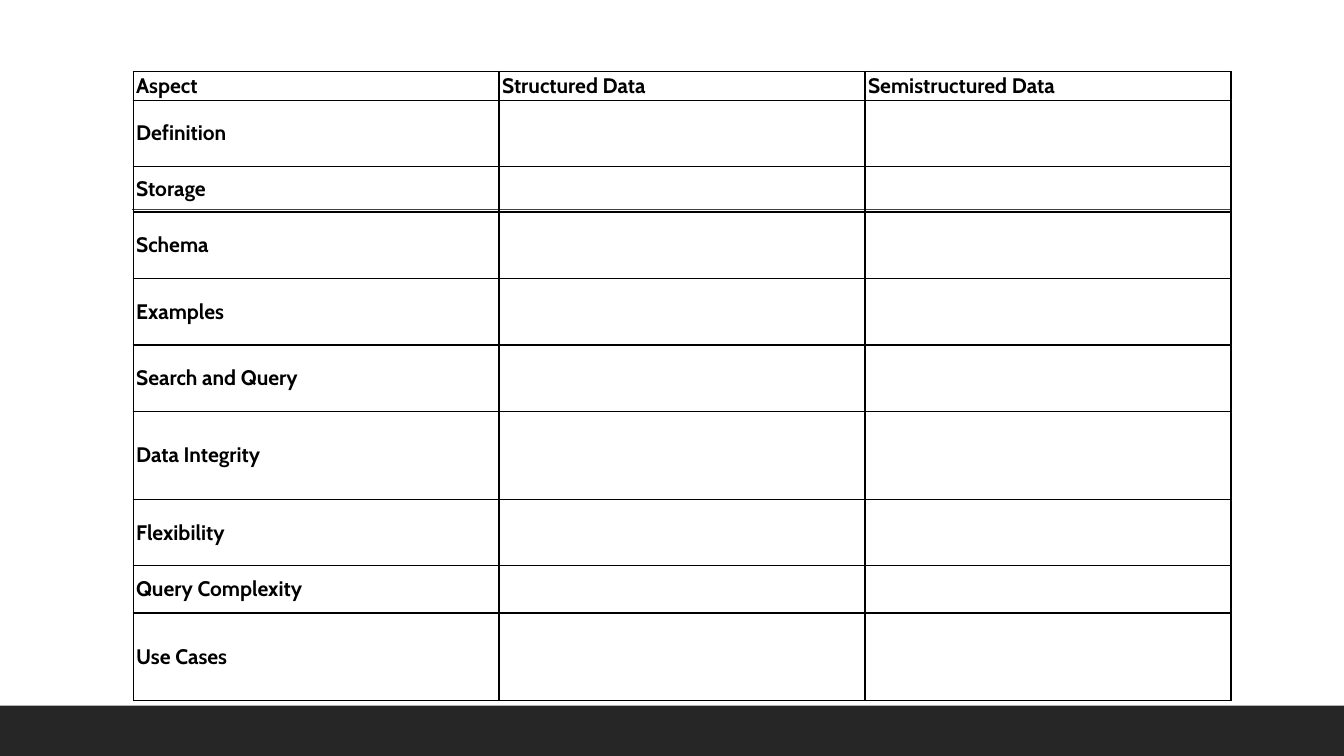
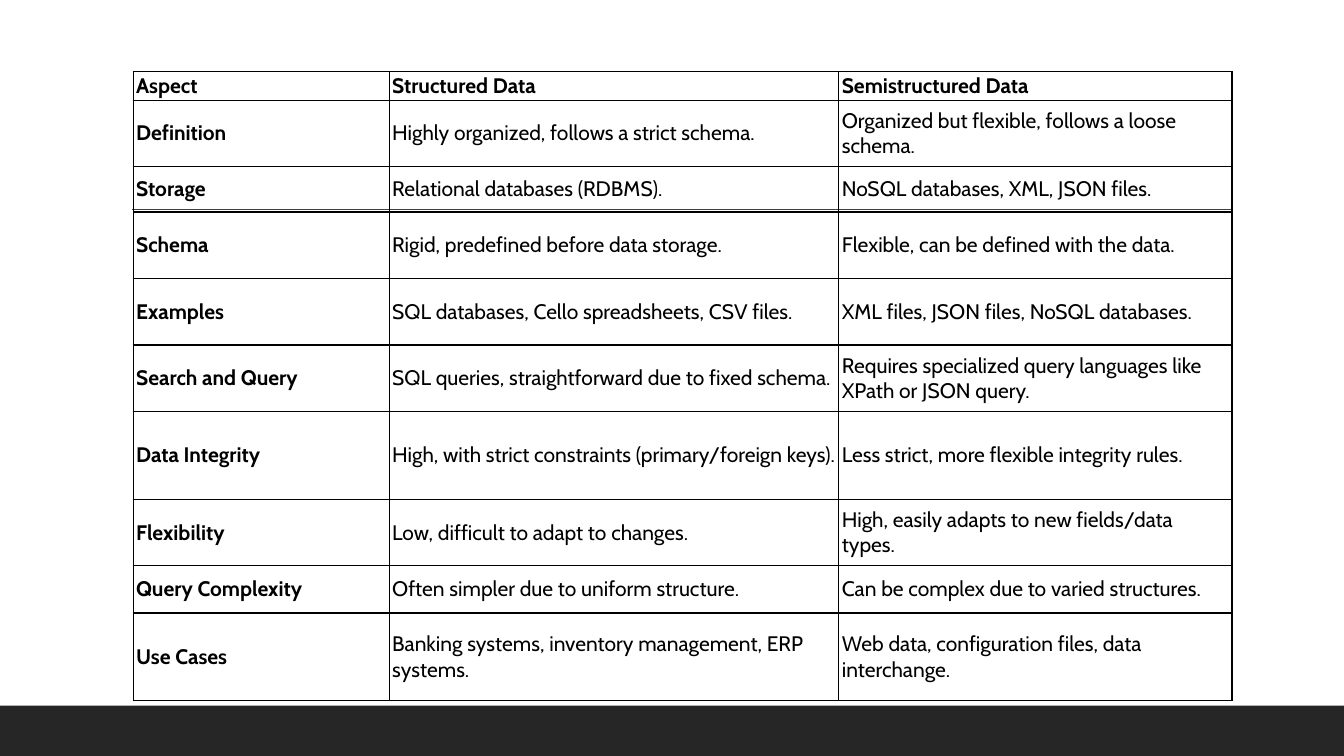
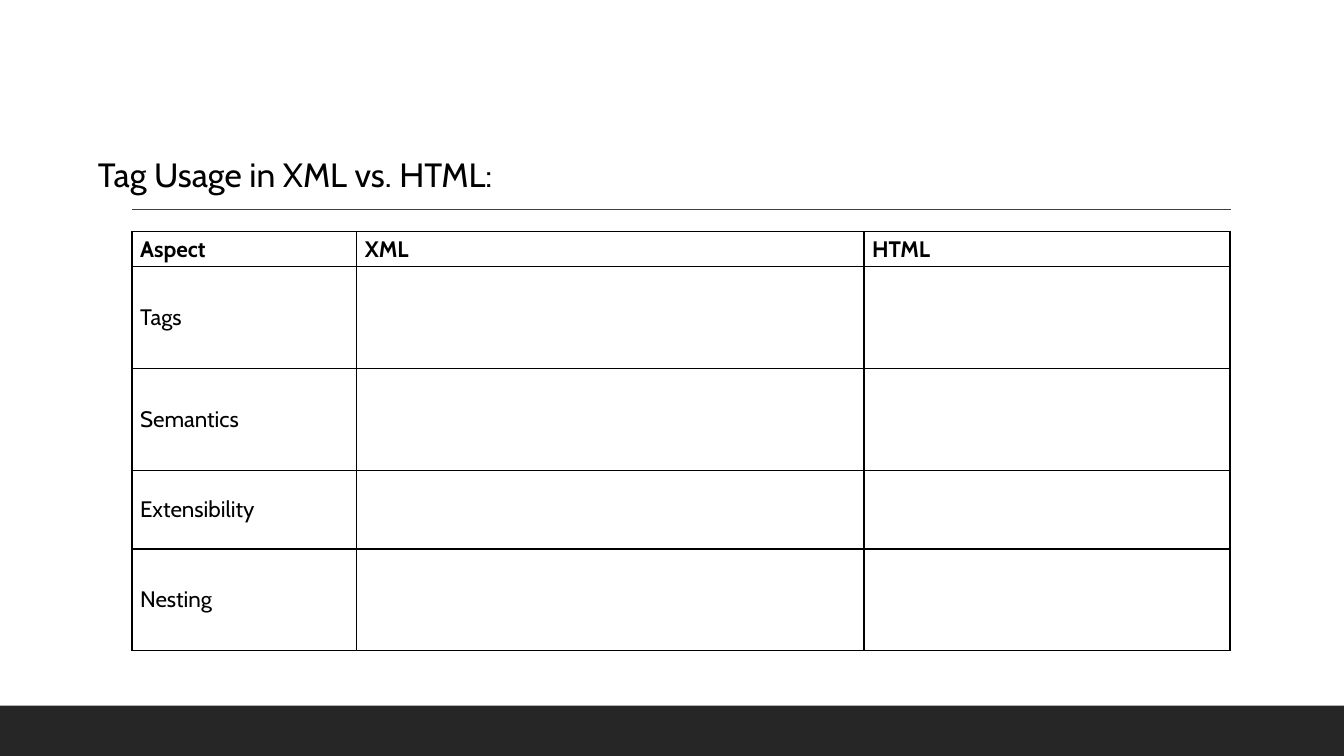
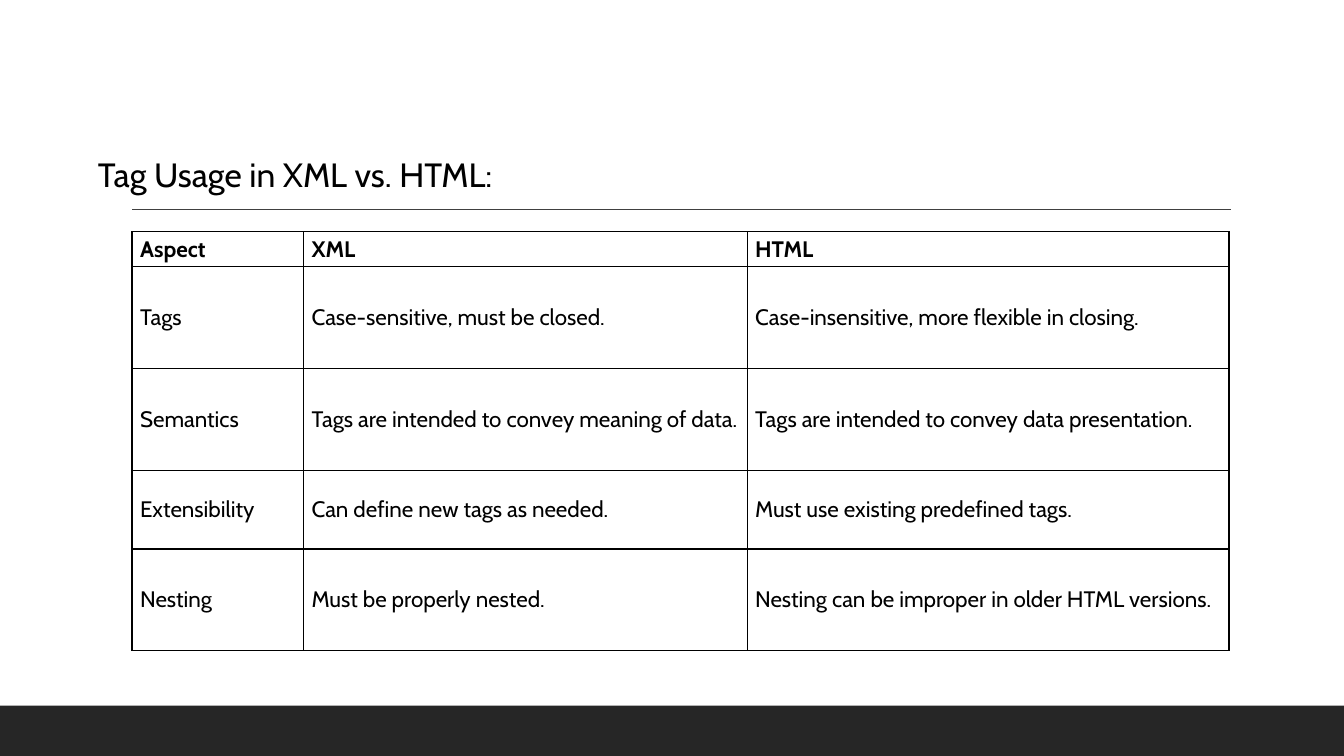
from dataclasses import dataclass

from pptx import Presentation
from pptx.dml.color import RGBColor as Color
from pptx.enum.shapes import MSO_CONNECTOR as Connector, MSO_SHAPE as Preset
from pptx.enum.text import MSO_ANCHOR as Anchor, MSO_AUTO_SIZE as AutoSize, PP_ALIGN as Align
from pptx.oxml import parse_xml
from pptx.oxml.ns import nsdecls, qn
from pptx.util import Inches, Pt


@dataclass(frozen=True)
class Theme:
    font: str = "Cabin"
    text: str = "000000"
    band: str = "262626"
    rule: str = "404040"
    line_width: int = Pt(1)
    title_size: int = Pt(24)


theme = Theme()


def set_font(paragraph, size, bold=False):
    font = paragraph.font
    font.name, font.size, font.bold = theme.font, size, bold
    font.color.rgb = Color.from_string(theme.text)


def add_grid(slide, content, layout, column_widths, filled):
    """Add a bordered table; unless filled, only headings and row labels have text."""
    frame = slide.shapes.add_table(
        len(content), len(column_widths), Inches(layout["left"]), Inches(layout["top"]),
        Inches(sum(column_widths)), Inches(sum(layout["row_heights"])))
    table = frame.table
    table.first_row = table.horz_banding = False
    for column, width in zip(table.columns, column_widths):
        column.width = Inches(width)
    for row, height in zip(table.rows, layout["row_heights"]):
        row.height = Inches(height)

    for row_index, texts in enumerate(content):
        for column_index, text in enumerate(texts):
            is_header, is_label = row_index == 0, column_index == 0
            cell = table.cell(row_index, column_index)
            cell.fill.background()
            cell.margin_left = cell.margin_right = Inches(layout["side_margin"])
            cell.margin_top = cell.margin_bottom = Inches(layout["side_margin"] / 2)
            cell.vertical_anchor = Anchor.BOTTOM if is_header else Anchor.MIDDLE
            if filled or is_header or is_label:
                cell.text = text
            set_font(cell.text_frame.paragraphs[0], layout["size"],
                     is_header or (is_label and layout["bold_labels"]))

    # Borders come before the fill in the cell properties
    for properties in frame.element.iter(qn("a:tcPr")):
        for index, side in enumerate("LRTB"):
            properties.insert(index, parse_xml(
                f'<a:ln{side} {nsdecls("a")} w="{theme.line_width}"><a:solidFill>'
                f'<a:srgbClr val="{theme.text}"/></a:solidFill></a:ln{side}>'))


# Content
data_comparison = [
    ("Aspect", "Structured Data", "Semistructured Data"),
    ("Definition", "Highly organized, follows a strict schema.",
     "Organized but flexible, follows a loose schema."),
    ("Storage", "Relational databases (RDBMS).", "NoSQL databases, XML, JSON files."),
    ("Schema", "Rigid, predefined before data storage.",
     "Flexible, can be defined with the data."),
    ("Examples", "SQL databases, Cello spreadsheets, CSV files.",
     "XML files, JSON files, NoSQL databases."),
    ("Search and Query", "SQL queries, straightforward due to fixed schema.",
     "Requires specialized query languages like XPath or JSON query."),
    ("Data Integrity", "High, with strict constraints (primary/foreign keys).",
     "Less strict, more flexible integrity rules."),
    ("Flexibility", "Low, difficult to adapt to changes.",
     "High, easily adapts to new fields/data types."),
    ("Query Complexity", "Often simpler due to uniform structure.",
     "Can be complex due to varied structures."),
    ("Use Cases", "Banking systems, inventory management, ERP systems.",
     "Web data, configuration files, data interchange."),
]
tag_comparison = [
    ("Aspect", "XML", "HTML"),
    ("Tags", "Case-sensitive, must be closed.", "Case-insensitive, more flexible in closing."),
    ("Semantics", "Tags are intended to convey meaning of data.",
     "Tags are intended to convey data presentation."),
    ("Extensibility", "Can define new tags as needed.", "Must use existing predefined tags."),
    ("Nesting", "Must be properly nested.", "Nesting can be improper in older HTML versions."),
]
data_layout = dict(
    left=1.32, top=0.71, side_margin=0.03, size=Pt(15), bold_labels=True,
    row_heights=[0.25, 0.66, 0.45, 0.66, 0.66, 0.66, 0.87, 0.66, 0.47, 0.87])
tag_layout = dict(
    left=1.31, top=2.3, side_margin=0.08, size=Pt(16), bold_labels=False,
    row_heights=[0.31, 1.01, 1.01, 0.78, 1.01])
tag_title = "Tag Usage in XML vs. HTML:"

# Title, content, table layout, column widths, whether the answers show
pages = [
    (None, data_comparison, data_layout, [3.63, 3.63, 3.63], False),
    (None, data_comparison, data_layout, [2.54, 4.46, 3.9], True),
    (tag_title, tag_comparison, tag_layout, [2.23, 5.03, 3.63], False),
    (tag_title, tag_comparison, tag_layout, [1.7, 4.4, 4.78], True),
]

presentation = Presentation()
presentation.slide_width, presentation.slide_height = Inches(13.33), Inches(7.5)
title_layout = presentation.slide_layouts.get_by_name("Title Only")
blank_layout = presentation.slide_layouts.get_by_name("Blank")

# Title position, shared through the layout
layout_title = title_layout.placeholders[0]
layout_title.left, layout_title.top = Inches(0.87), Inches(1.48)
layout_title.width, layout_title.height = Inches(6.67), Inches(0.5)

# Slides
for title, content, layout, column_widths, filled in pages:
    slide = presentation.slides.add_slide(title_layout if title else blank_layout)
    add_grid(slide, content, layout, column_widths, filled)
    if title:
        slide.shapes.title.text = title
        text_frame = slide.shapes.title.text_frame
        text_frame.word_wrap = True
        text_frame.auto_size = AutoSize.SHAPE_TO_FIT_TEXT
        text_frame.vertical_anchor = Anchor.TOP
        paragraph = text_frame.paragraphs[0]
        paragraph.alignment = Align.LEFT
        set_font(paragraph, theme.title_size)

# Footer band and title rule: drawn on a slide, then moved to the master
shapes = presentation.slides[0].shapes
band = shapes.add_shape(Preset.RECTANGLE, 0, Inches(7), Inches(13.33), Inches(0.5))
band.shadow.inherit = False
band.fill.solid()
band.fill.fore_color.rgb = Color.from_string(theme.band)
band.line.fill.background()

rule = shapes.add_connector(
    Connector.STRAIGHT, Inches(1.31), Inches(2.08), Inches(12.21), Inches(2.08))
rule.line.color.rgb = Color.from_string(theme.rule)
rule.line.width = theme.line_width
rule.element.spPr.append(parse_xml(f'<a:effectLst {nsdecls("a")}/>'))

master_tree = presentation.slide_master.shapes.element
for shape_id, shape in enumerate((band, rule), start=101):
    shape.element.xpath("./*/p:cNvPr")[0].set("id", str(shape_id))
    master_tree.append(shape.element)

presentation.save("out.pptx")
